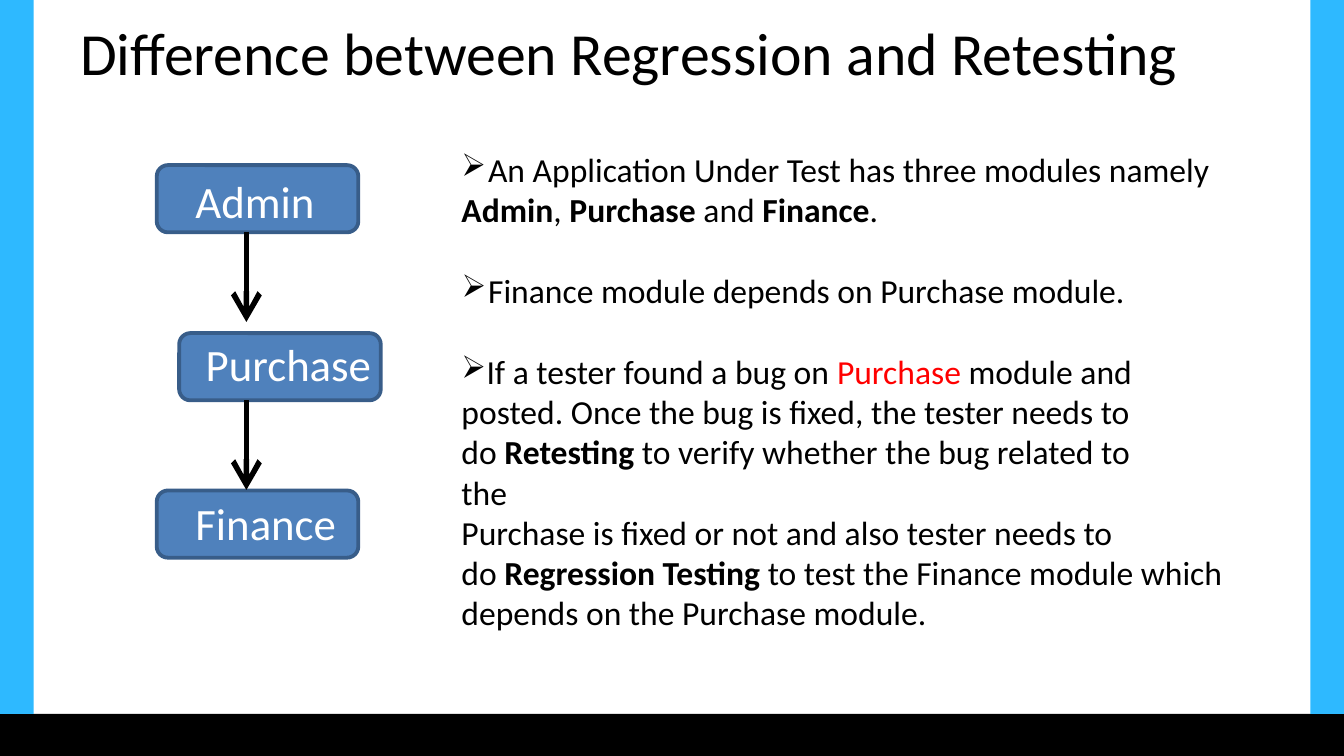
from lxml import etree
from pptx import Presentation, util as u
from pptx.dml.color import RGBColor
from pptx.enum import shapes, text
from pptx.oxml.ns import qn

Pt = u.Pt
WIDTH, HEIGHT = 720, 405

THEME = {
    "font": "Calibri", "title": 32, "module": 24, "body": 18,
    "black": RGBColor(0, 0, 0), "white": RGBColor(255, 255, 255),
    "red": RGBColor(255, 0, 0), "side": RGBColor(0x2E, 0xB9, 0xFF),
    "box": RGBColor(0x4F, 0x81, 0xBC), "outline": RGBColor(0x38, 0x5D, 0x89),
}

TITLE = "Difference between Regression and Retesting"

# name, left, top, text inset from left and top
MODULES = [
    ("Admin", 84, 88.5, 19, 2.7),
    ("Purchase", 96, 178.5, 12.5, 0),
    ("Finance", 84, 262.8, 19, 1.3),
]
MODULE_W, MODULE_H = 108, 36
ARROW_X, ARROW_LENGTH = 132, 48

# Each note: top, width, height, paragraphs
# Each paragraph: (left margin, first-line indent, right margin, bulleted), runs
# Each run: text, style ("" plain, "b" bold, "r" red)
PLAIN = (0.75, 0, 0, False)
HANGING = (15, -14.25, 0, True)
NOTES = [
    (77.75, 404, 45, [
        (HANGING, [("An Application Under Test has three modules namely", "")]),
        (PLAIN, [("Admin", "b"), (", ", ""), ("Purchase ", "b"), ("and ", ""),
                 ("Finance", "b"), (".", "")]),
    ]),
    (142.5, 358.5, 24, [
        (HANGING, [("Finance module depends on Purchase module.", "")]),
    ]),
    (185.75, 409.5, 132, [
        ((0.75, 0, 36, True), [
            ("If a tester found a bug on ", ""), ("Purchase ", "r"),
            ("module and posted. Once the bug is fixed, the tester needs to", "")]),
        ((0.75, 0, 40, False), [
            ("do ", ""), ("Retesting ", "b"),
            ("to verify whether the bug related to the", "")]),
        (PLAIN, [("Purchase is fixed or not and also tester needs to", "")]),
        (PLAIN, [("do ", ""), ("Regression Testing ", "b"),
                 ("to test the Finance module which depends on the "
                  "Purchase module.", "")]),
    ]),
]
NOTES_LEFT = 246.5


def set_frame(frame, left=0, top=2):
    frame.word_wrap = True
    frame.vertical_anchor = text.MSO_ANCHOR.TOP
    frame.margin_left, frame.margin_top = Pt(left), Pt(top)
    frame.margin_right = frame.margin_bottom = 0


def set_font(paragraph, size, color):
    font = paragraph.font
    font.name, font.size = THEME["font"], Pt(THEME[size])
    font.color.rgb = THEME[color]


def add_box(slide, kind, left, top, width, height, fill):
    box = slide.shapes.add_shape(kind, Pt(left), Pt(top), Pt(width), Pt(height))
    box.shadow.inherit = False
    box.fill.solid()
    box.fill.fore_color.rgb = THEME[fill]
    box.line.fill.background()
    return box


def add_textbox(slide, left, top, width, height):
    frame = slide.shapes.add_textbox(
        Pt(left), Pt(top), Pt(width), Pt(height)).text_frame
    set_frame(frame)
    return frame


def add_module(slide, name, left, top, inset_left, inset_top):
    box = add_box(slide, shapes.MSO_SHAPE.ROUNDED_RECTANGLE,
                  left, top, MODULE_W, MODULE_H, "box")
    box.line.color.rgb, box.line.width = THEME["outline"], Pt(2.04)
    set_frame(box.text_frame, inset_left, inset_top)
    label = box.text_frame.paragraphs[0]
    label.text, label.alignment = name, text.PP_ALIGN.LEFT
    set_font(label, "module", "white")


def add_arrow(slide, top):
    arrow = slide.shapes.add_connector(
        shapes.MSO_CONNECTOR.STRAIGHT,
        Pt(ARROW_X), Pt(top), Pt(ARROW_X), Pt(top + ARROW_LENGTH))
    arrow.line.color.rgb, arrow.line.width = THEME["black"], Pt(3)
    etree.SubElement(arrow.line._get_or_add_ln(), qn("a:tailEnd"),
                     type="arrow", w="lg", len="lg")
    etree.SubElement(arrow._element.spPr, qn("a:effectLst"))


def format_paragraph(paragraph, left, indent, right, bulleted):
    paragraph.line_spacing = Pt(21.6)
    props = paragraph._p.get_or_add_pPr()
    for key, value in (("marL", left), ("indent", indent), ("marR", right)):
        props.set(key, str(int(Pt(value))))
    if bulleted:
        etree.SubElement(props, qn("a:buSzPct"), val="94000")
        etree.SubElement(props, qn("a:buChar"), char="➢")
    set_font(paragraph, "body", "black")


def add_note(slide, top, width, height, paragraphs):
    frame = add_textbox(slide, NOTES_LEFT, top, width, height)
    for i, (layout, runs) in enumerate(paragraphs):
        paragraph = frame.add_paragraph() if i else frame.paragraphs[0]
        format_paragraph(paragraph, *layout)
        for words, style in runs:
            run = paragraph.add_run()
            run.text = words
            if style == "b":
                run.font.bold = True
            elif style == "r":
                run.font.color.rgb = THEME["red"]


def main():
    deck = Presentation()
    deck.slide_width, deck.slide_height = Pt(WIDTH), Pt(HEIGHT)
    slide = deck.slides.add_slide(deck.slide_layouts[6])

    # Border bars
    side, foot = 18, 22.5
    for bar in ((0, HEIGHT - foot, WIDTH, foot, "black"),
                (WIDTH - side, 0, side, HEIGHT - foot, "side"),
                (0, 0, side, HEIGHT - foot, "side")):
        add_box(slide, shapes.MSO_SHAPE.RECTANGLE, *bar)

    # Title
    title = add_textbox(slide, 43, 6.5, 620, 40).paragraphs[0]
    title.text = TITLE
    set_font(title, "title", "black")

    # Module chain
    for module in MODULES:
        add_module(slide, *module)
    for _, _, top, _, _ in MODULES[:-1]:
        add_arrow(slide, top + MODULE_H)

    # Explanation
    for note in NOTES:
        add_note(slide, *note)

    deck.save("out.pptx")


if __name__ == "__main__":
    main()
